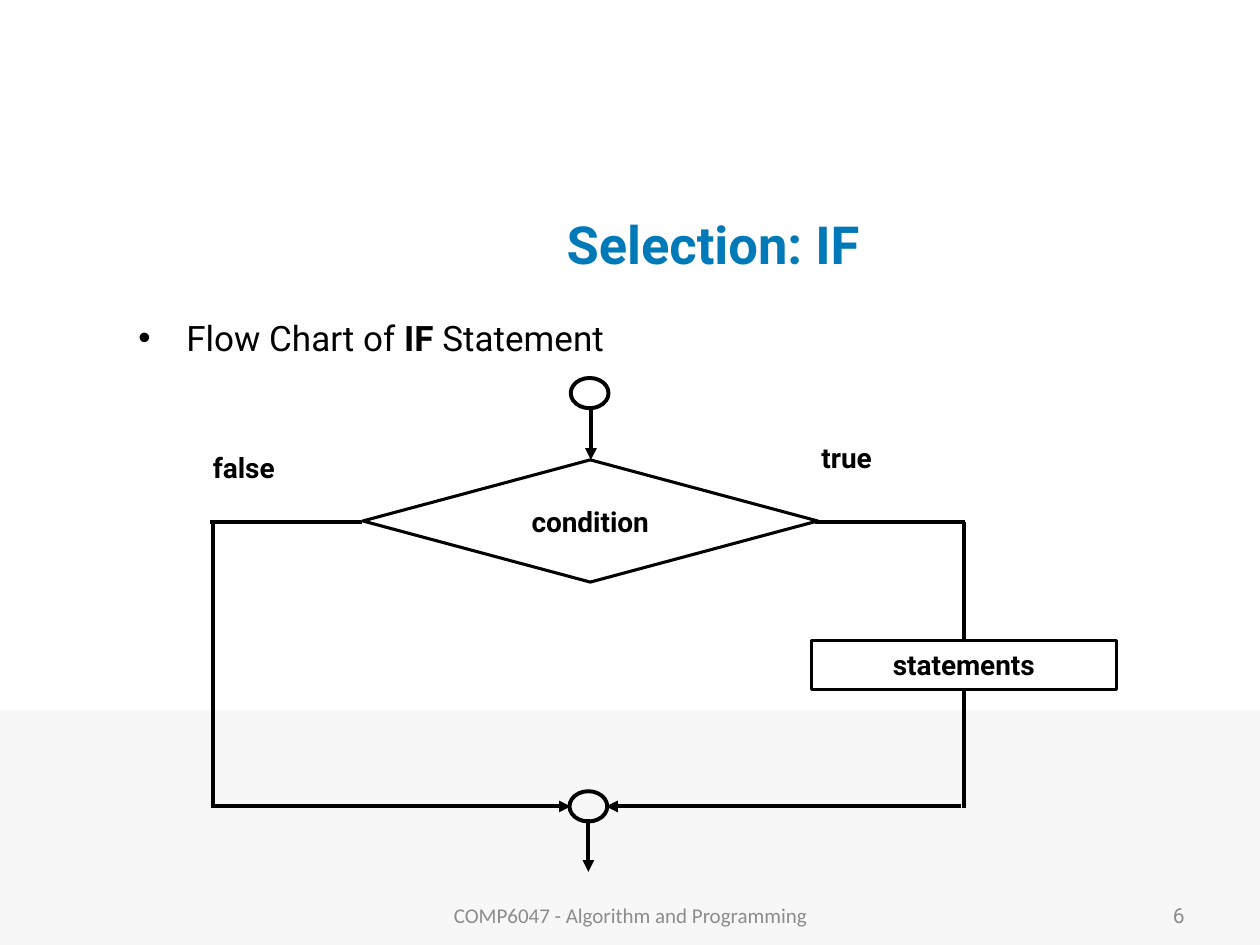
from lxml import etree
from pptx import Presentation
from pptx.dml.color import RGBColor
from pptx.enum.shapes import MSO_CONNECTOR, MSO_SHAPE
from pptx.enum.text import MSO_ANCHOR, PP_ALIGN
from pptx.oxml.ns import qn
from pptx.util import Inches, Pt

LEFT, CENTER, RIGHT, JUSTIFY = PP_ALIGN.LEFT, PP_ALIGN.CENTER, PP_ALIGN.RIGHT, PP_ALIGN.JUSTIFY
TOP, MIDDLE = MSO_ANCHOR.TOP, MSO_ANCHOR.MIDDLE
RECTANGLE, OVAL, DIAMOND = MSO_SHAPE.RECTANGLE, MSO_SHAPE.OVAL, MSO_SHAPE.DIAMOND
STRAIGHT = MSO_CONNECTOR.STRAIGHT

THEME = {
    "ink": RGBColor(0, 0, 0), "paper": RGBColor(255, 255, 255),
    "band": RGBColor(0xF7, 0xF7, 0xF7), "accent": RGBColor(0, 0x79, 0xB8),
    "muted": RGBColor(0x8C, 0x8C, 0x8C),
    "title": Pt(30), "body": Pt(20), "label": Pt(16), "footer": Pt(12),
    "flow": Pt(2.25), "outline": Pt(1.75), "font": "Roboto", "footer_font": "Calibri",
}

deck = Presentation()
deck.slide_width, deck.slide_height = Inches(10), Inches(7.5)
slide = deck.slides.add_slide(deck.slide_layouts[6])


def add_block(kind, box, fill, line):
    block = slide.shapes.add_shape(kind, *map(Inches, box))
    block.shadow.inherit = False
    if fill:
        block.fill.solid()
        block.fill.fore_color.rgb = THEME[fill]
    else:
        block.fill.background()
    if line:
        block.line.color.rgb = THEME["ink"]
        block.line.width = THEME[line]
    else:
        block.line.fill.background()
    return block


def write(holder, runs, size, color, align, anchor, inset=0.0, font="font"):
    frame = holder.text_frame
    frame_format = {"word_wrap": True, "vertical_anchor": anchor,
                    "margin_left": Inches(inset), "margin_right": Inches(inset),
                    "margin_top": Inches(inset / 2), "margin_bottom": Inches(inset / 2)}
    for name, value in frame_format.items():
        setattr(frame, name, value)
    paragraph = frame.paragraphs[0]
    paragraph.alignment = align
    for words, bold in runs:
        run = paragraph.add_run()
        run.text = words
        run.font.color.rgb = THEME[color]
        run_format = {"name": THEME[font], "size": THEME[size], "bold": bold}
        for name, value in run_format.items():
            setattr(run.font, name, value)
    return paragraph


add_block(RECTANGLE, (0, 5.64, 10, 1.86), "band", None)

texts = [
    ((1.92, 1.5, 7.48, 0.87), [("Selection: IF", True)], "title", "accent", CENTER, MIDDLE, 0.1),
    ((7.17, 7.06, 2.33, 0.4), [("6", False)], "footer", "muted", RIGHT, MIDDLE, 0.1),
    ((3.42, 7.06, 3.17, 0.4), [("COMP6047 - Algorithm and Programming", False)],
     "footer", "muted", CENTER, MIDDLE, 0.1, "footer_font"),
    ((6.52, 3.5, 1.06, 0.47), [("true", True)], "label", "ink", LEFT, TOP),
    ((1.69, 3.58, 1.3, 0.47), [("false", True)], "label", "ink", LEFT, TOP),
]
for box, *content in texts:
    write(slide.shapes.add_textbox(*map(Inches, box)), *content)

body = slide.shapes.add_textbox(*map(Inches, (1, 2.5, 8.58, 4.07)))
topic = write(body, [("Flow Chart of ", False), ("IF ", True), ("Statement", False)],
              "body", "ink", JUSTIFY, TOP, 0.1)
topic.line_spacing, topic.space_before = 0.9, Pt(4)
bullet_format = topic._p.get_or_add_pPr()
bullet_format.set("marL", str(Inches(0.38)))
bullet_format.set("indent", str(-Inches(0.38)))
etree.SubElement(bullet_format, qn("a:buFont")).set("typeface", "Arial")
etree.SubElement(bullet_format, qn("a:buChar")).set("char", "•")

middle, false_side, true_side = 4.68, 1.69, 7.65
branch, merge = 4.14, 6.4
flows = [
    (middle + 0.01, 3.22, middle + 0.01, 3.65, True),
    (middle - 0.01, 6.5, middle - 0.01, 6.92, True),
    (false_side - 0.02, branch, 2.87, branch, False),
    (true_side + 0.01, branch, 6.47, branch, False),
    (false_side, branch, false_side, merge + 0.01, False),
    (true_side, branch, true_side, merge + 0.01, False),
    (false_side, merge, 4.53, merge, True),
    (true_side - 0.02, merge, 4.81, merge, True),
]
for *ends, arrow in flows:
    flow = slide.shapes.add_connector(STRAIGHT, *map(Inches, ends))
    flow.line.color.rgb = THEME["ink"]
    flow.line.width = THEME["flow"]
    if arrow:
        etree.SubElement(flow.line._get_or_add_ln(), qn("a:tailEnd")).set("type", "triangle")
    etree.SubElement(flow._element.spPr, qn("a:effectLst"))

for left, top in [(4.53, 3), (4.52, 6.28)]:
    add_block(OVAL, (left, top, 0.3, 0.24), None, "flow")

steps = [
    (RECTANGLE, (6.44, 5.08, 2.42, 0.39), "statements"),
    (DIAMOND, (2.88, 3.65, 3.61, 0.97), "condition"),
]
for kind, box, label in steps:
    write(add_block(kind, box, "paper", "outline"), [(label, True)], "label", "ink", CENTER, MIDDLE)

deck.save("out.pptx")
